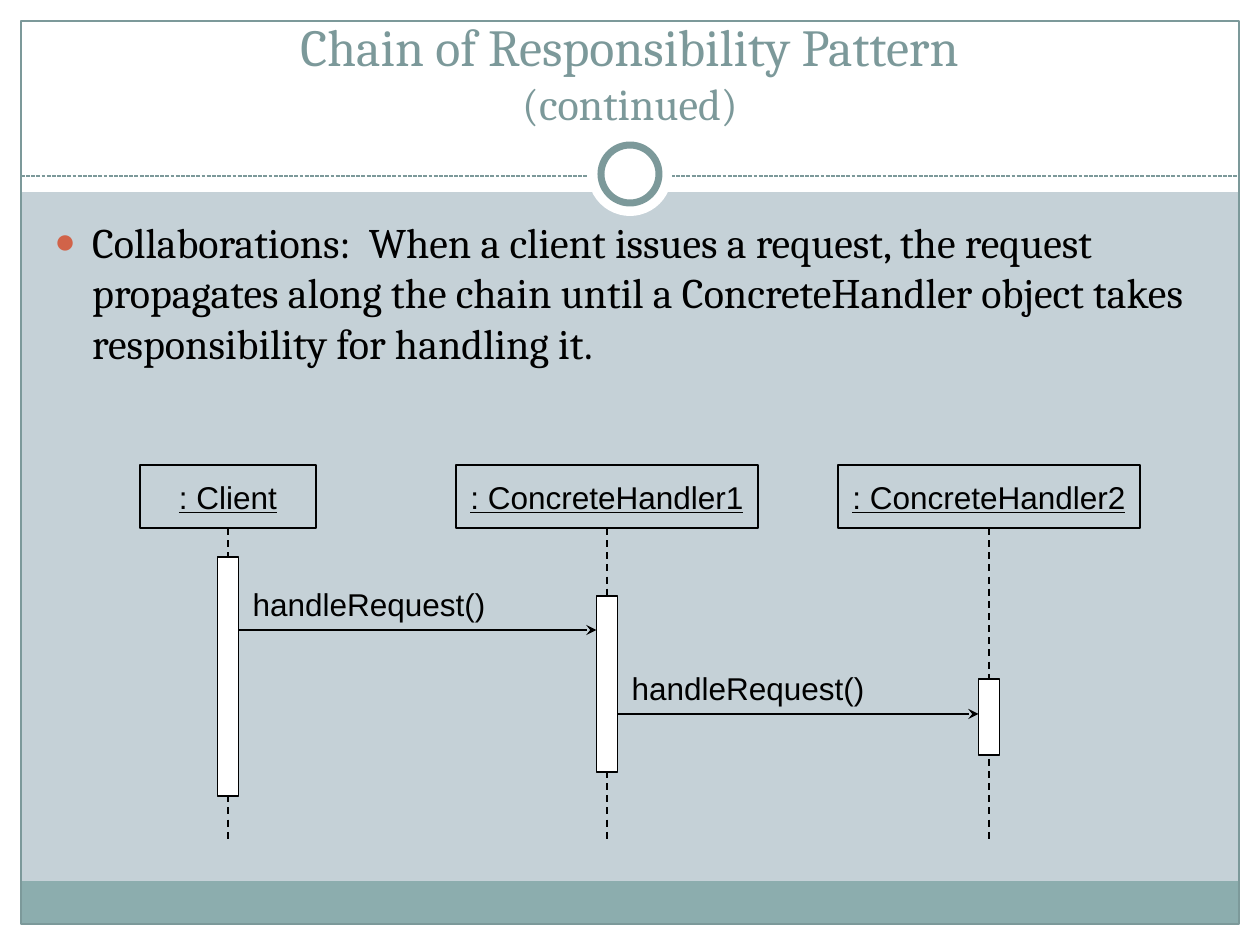
from lxml.etree import SubElement
from pptx import Presentation
from pptx.dml.color import RGBColor
from pptx.enum.dml import MSO_LINE
from pptx.enum.shapes import MSO_CONNECTOR, MSO_SHAPE
from pptx.enum.text import MSO_ANCHOR, MSO_AUTO_SIZE, PP_ALIGN
from pptx.oxml import parse_xml
from pptx.oxml.ns import nsdecls, qn
from pptx.util import Emu, Inches, Pt

WHITE = RGBColor(0xFF, 0xFF, 0xFF)
BLACK = RGBColor(0x00, 0x00, 0x00)
BACKGROUND = RGBColor(0xC5, 0xD1, 0xD7)
BAND = RGBColor(0x8C, 0xAD, 0xAE)
ACCENT = RGBColor(0x7C, 0x99, 0x9A)
BULLET = RGBColor(0xD1, 0x63, 0x49)


def px(n):
    return Emu(round(n * 914400 / 126))


def set_font(r, name, size, color):
    r.font.name = name
    r.font.size = Pt(size)
    r.font.color.rgb = color


def add_box(slide, x, y, w, h, fill=None, line=None, width=1, kind=MSO_SHAPE.RECTANGLE):
    sp = slide.shapes.add_shape(kind, px(x), px(y), px(w), px(h))
    sp.shadow.inherit = False
    if fill is None:
        sp.fill.background()
    else:
        sp.fill.solid()
        sp.fill.fore_color.rgb = fill
    if line is None:
        sp.line.fill.background()
    else:
        sp.line.color.rgb = line
        sp.line.width = Pt(width)
    return sp


def add_line(slide, x1, y1, x2, y2, color=BLACK, width=1, dash=None, arrow=False):
    cn = slide.shapes.add_connector(MSO_CONNECTOR.STRAIGHT, px(x1), px(y1), px(x2), px(y2))
    cn.line.color.rgb = color
    cn.line.width = Pt(width)
    if dash is not None:
        cn.line.dash_style = dash
    if arrow:
        SubElement(cn.line._get_or_add_ln(), qn("a:tailEnd"), type="stealth", w="med", len="med")
    SubElement(cn._element.spPr, qn("a:effectLst"))


def set_label(sp, text, underline=False):
    tf = sp.text_frame
    tf.text = text
    tf.word_wrap = False
    tf.vertical_anchor = MSO_ANCHOR.MIDDLE
    p = tf.paragraphs[0]
    p.alignment = PP_ALIGN.CENTER
    set_font(p.runs[0], "Arial", 18, BLACK)
    if underline:
        p.runs[0].font.underline = True


def add_frame(slide, w, h):
    margin = 21
    band_h = 43
    for box in ((0, h - margin, w, margin), (0, 0, w, 192),
                (0, 0, margin, h), (w - margin, 0, margin, h)):
        add_box(slide, *box, fill=WHITE)
    inner_w = w - 2 * margin
    add_box(slide, margin, h - margin - band_h, inner_w, band_h, fill=BAND)
    add_box(slide, margin, margin, inner_w, h - 2 * margin, line=ACCENT, width=0.75)
    add_line(slide, margin, 176, w - margin, 176, ACCENT, 0.75, MSO_LINE.SQUARE_DOT)
    for size, line in ((84, None), (58, ACCENT)):
        add_box(slide, (w - size) / 2, 174 - size / 2, size, size, WHITE, line, 4, MSO_SHAPE.OVAL)


def place_title(slide, x, y, w, h):
    title = slide.shapes.title
    title.left, title.top, title.width, title.height = px(x), px(y), px(w), px(h)
    title._element.getparent().append(title._element)
    tf = title.text_frame
    tf.text = "Chain of Responsibility Pattern\v(continued)"
    tf.auto_size = MSO_AUTO_SIZE.NONE
    tf.vertical_anchor = MSO_ANCHOR.BOTTOM
    p = tf.paragraphs[0]
    p.alignment = PP_ALIGN.CENTER
    for r, size in zip(p.runs, (29.7, 25.2)):
        set_font(r, "Cambria", size, ACCENT)


def add_body(slide, x, y, w, h, text):
    tf = slide.shapes.add_textbox(px(x), px(y), px(w), px(h)).text_frame
    tf.word_wrap = True
    tf.text = text
    p = tf.paragraphs[0]
    p.space_before = Pt(4.8)
    set_font(p.runs[0], "Cambria", 24, BLACK)
    pPr = p._p.get_or_add_pPr()
    pPr.set("marL", str(Inches(0.3)))
    pPr.set("indent", str(-Inches(0.3)))
    ns = nsdecls("a")
    for xml in (f'<a:buClr {ns}><a:srgbClr val="{BULLET}"/></a:buClr>',
                f'<a:buSzPct {ns} val="85000"/>',
                f'<a:buFont {ns} typeface="Arial"/>',
                f'<a:buChar {ns} char="●"/>'):
        pPr.append(parse_xml(xml))


def add_sequence_diagram(slide, x, y, h, lifelines, messages):
    head_h = 63
    bar_w = 21
    for name, center, head_w, bar_y, bar_h in lifelines:
        cx = x + center
        head = add_box(slide, cx - head_w / 2, y, head_w, head_h, line=BLACK)
        set_label(head, name, underline=True)
        add_line(slide, cx, y + head_h, cx, y + h, dash=MSO_LINE.DASH)
        add_box(slide, cx - bar_w / 2, y + bar_y, bar_w, bar_h, WHITE, BLACK)
    for sender, receiver, message_y, text in messages:
        start = x + lifelines[sender][1] + bar_w / 2
        end = x + lifelines[receiver][1] - bar_w / 2
        add_line(slide, start, y + message_y, end, y + message_y, arrow=True)
        label = slide.shapes.add_textbox(px(start), px(y + message_y - 51), px(261), px(50))
        set_label(label, text)


prs = Presentation()
prs.slide_width, prs.slide_height = px(1260), px(945)
slide = prs.slides.add_slide(prs.slide_layouts[5])
slide.background.fill.solid()
slide.background.fill.fore_color.rgb = BACKGROUND

add_frame(slide, 1260, 945)
place_title(slide, 42, 31, 1176, 105)
add_body(slide, 42, 210, 1172, 231,
         "Collaborations:  When a client issues a request, the request propagates along "
         "the chain until a ConcreteHandler object takes responsibility for handling it.")
add_sequence_diagram(
    slide, 139, 465, 375,
    [(": Client", 89, 176, 92, 239),
     (": ConcreteHandler1", 468, 302, 131, 176),
     (": ConcreteHandler2", 850, 302, 214, 76)],
    [(0, 1, 165, "handleRequest()"),
     (1, 2, 249, "handleRequest()")])

prs.save("out.pptx")
